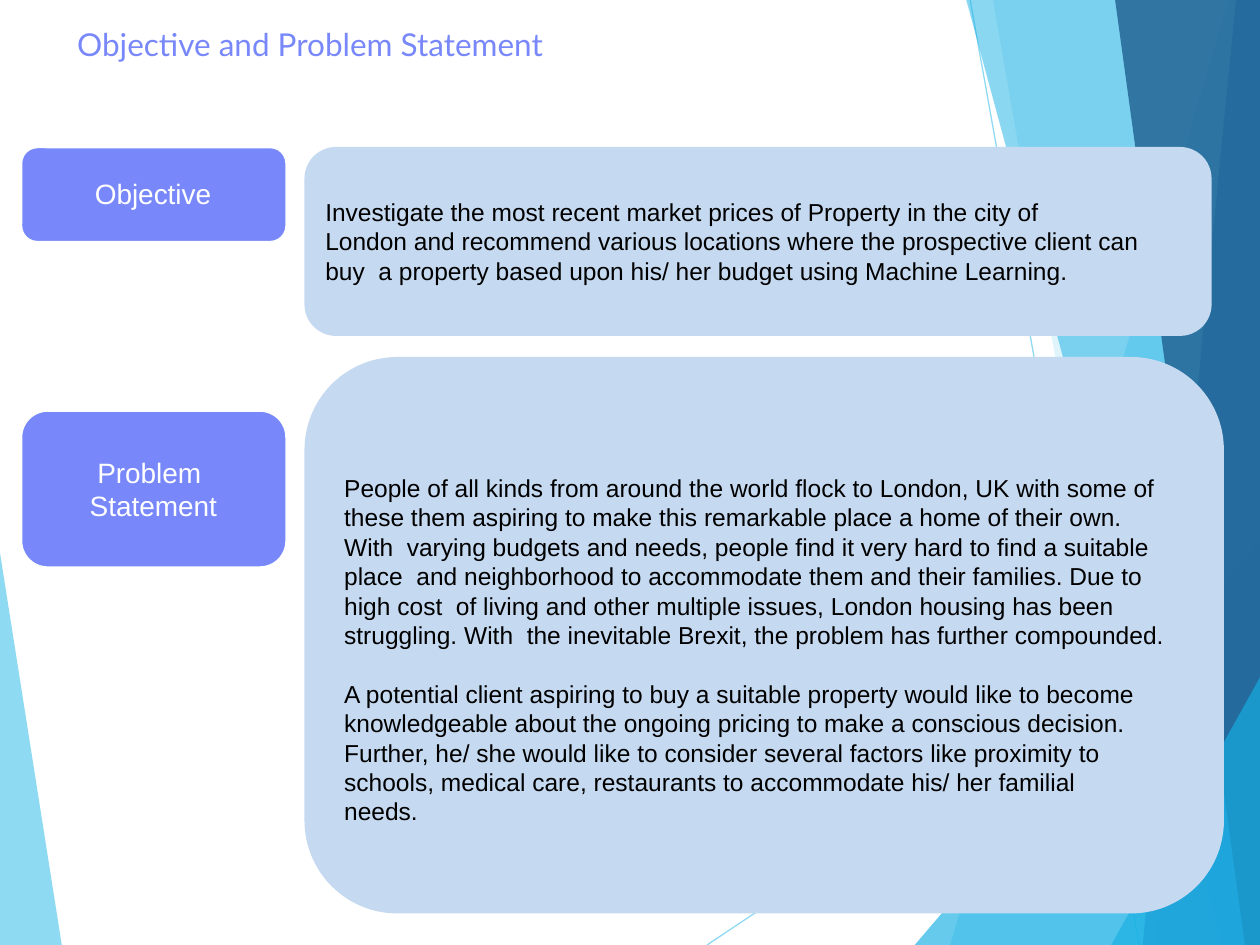
from lxml.etree import SubElement
from pptx import Presentation
from pptx.dml.color import RGBColor
from pptx.enum.shapes import MSO_CONNECTOR as Connector, MSO_SHAPE as Shape
from pptx.enum.text import MSO_ANCHOR as Anchor
from pptx.oxml.ns import qn
from pptx.util import Pt

WIDTH, HEIGHT = 720, 540

THEME = {
    "sky": "5FCBEF", "cyan": "17B0E4", "blue": "2E83C3", "navy": "226292",
    "label": "7888FA", "label_line": "FDFFFD", "panel": "C5D9F0",
    "title": {"name": "Lato", "size": 18, "color": "7888FA"},
    "heading": {"name": "Arial", "size": 16, "color": "FFFFFF"},
    "body": {"name": "Arial", "size": 14, "color": "000000"},
}

# Background facets, back to front: colour, opacity, corner points
LEFT_FACET = ("sky", 70, [(0, 316), (35.3, HEIGHT), (0, HEIGHT)])
RAYS = [((404, HEIGHT), (WIDTH, 329)), ((554.4, 0), (651, HEIGHT))]
RIGHT_FACETS = [
    ("sky", 36, [(702, 0), (543, HEIGHT), (WIDTH, HEIGHT), (WIDTH, 0)]),
    ("sky", 20, [(567.4, 0), (661.7, HEIGHT), (WIDTH, HEIGHT), (WIDTH, 0)]),
    ("cyan", 66, [(522.7, HEIGHT), (WIDTH, 309), (WIDTH, HEIGHT)]),
    ("cyan", 50, [(552.2, 0), (698.4, HEIGHT), (WIDTH, HEIGHT), (WIDTH, 0)]),
    ("blue", 70, [(706.3, 0), (653, HEIGHT), (WIDTH, HEIGHT), (WIDTH, 0)]),
    ("navy", 82, [(637.2, 0), (711.4, HEIGHT), (WIDTH, HEIGHT), (WIDTH, 0)]),
    ("cyan", 66, [(635, HEIGHT), (WIDTH, 387), (WIDTH, HEIGHT)]),
]

# Boxes are left, top, width, height
TITLE = ("Objective and Problem Statement", (43.2, 13, 300, 24))
LABEL_LEFT, LABEL_WIDTH, PANEL_LEFT = 12.4, 151, 174
SECTIONS = [
    {
        "label": "Objective", "label_y": (84.4, 53.6),
        "label_text": (53.3, 100, 70, 21), "indent": 0,
        "panel": (84, 108, 518.4),
        "texts": [((185, 111.6, 490, 52.6), [
            "Investigate the most recent market prices of Property in the city of",
            "London and recommend various locations where the prospective client "
            "can buy  a property based upon his/ her budget using Machine Learning.",
        ])],
    },
    {
        "label": "Problem Statement", "label_y": (235, 89),
        "label_text": (50.4, 259.2, 75, 40.3), "indent": 4.3,
        "panel": (204, 318, 525.4),
        "texts": [
            ((195.8, 269.3, 476, 103), [
                "People of all kinds from around the world flock to London, UK with "
                "some of these them aspiring to make this remarkable place a home of "
                "their own. With  varying budgets and needs, people find it very hard "
                "to find a suitable place  and neighborhood to accommodate them and "
                "their families. Due to high cost  of living and other multiple issues, "
                "London housing has been struggling. With  the inevitable Brexit, the "
                "problem has further compounded.",
            ]),
            ((195.8, 386.9, 463.7, 69), [
                "A potential client aspiring to buy a suitable property would like to "
                "become knowledgeable about the ongoing pricing to make a conscious "
                "decision. Further, he/ she would like to consider several factors like "
                "proximity to schools, medical care, restaurants to accommodate his/ her "
                "familial needs.",
            ]),
        ],
    },
]


def points(values):
    return [Pt(value) for value in values]


def color(name):
    return RGBColor.from_string(THEME.get(name, name))


def set_opacity(fill_owner, percent):
    for node in fill_owner.iter(qn("a:srgbClr")):
        SubElement(node, qn("a:alpha"), val=str(percent * 1000))


def paint(shape, fill, line=None):
    shape.shadow.inherit = False
    shape.fill.solid()
    shape.fill.fore_color.rgb = color(fill)
    if line:
        shape.line.color.rgb = color(line)
        shape.line.width = Pt(0.72)
    else:
        shape.line.fill.background()


def add_facet(slide, fill, opacity, corners):
    start, *rest = [points(corner) for corner in corners]
    builder = slide.shapes.build_freeform(*start)
    builder.add_line_segments(rest, close=True)
    shape = builder.convert_to_shape()
    paint(shape, fill)
    set_opacity(shape._element.spPr, opacity)


def add_ray(slide, start, end):
    ray = slide.shapes.add_connector(Connector.STRAIGHT, *points(start + end))
    ray.line.color.rgb = color("sky")
    ray.line.width = Pt(0.75)
    properties = ray._element.spPr
    set_opacity(properties, 70)
    SubElement(properties, qn("a:effectLst"))


def add_rounded(slide, box, fill, line=None):
    shape = slide.shapes.add_shape(Shape.ROUNDED_RECTANGLE, *points(box))
    shape.adjustments[0] = 0.167
    paint(shape, fill, line)


def add_text(slide, box, lines, style, indent=0):
    frame = slide.shapes.add_textbox(*points(box)).text_frame
    settings = {"word_wrap": True, "vertical_anchor": Anchor.TOP,
                "margin_left": 0, "margin_right": 0,
                "margin_top": Pt(1), "margin_bottom": 0}
    for name, value in settings.items():
        setattr(frame, name, value)
    font_style = THEME[style]
    for index, line in enumerate(lines):
        paragraph = frame.add_paragraph() if index else frame.paragraphs[0]
        paragraph.space_before = Pt(0 if index else 1)
        properties = paragraph._p.get_or_add_pPr()
        properties.set("marL", str(Pt(0.9)))
        properties.set("indent", str(Pt(indent)))
        run = paragraph.add_run()
        run.text = line
        run.font.name = font_style["name"]
        run.font.size = Pt(font_style["size"])
        run.font.color.rgb = color(font_style["color"])


def main():
    presentation = Presentation()
    presentation.slide_width, presentation.slide_height = Pt(WIDTH), Pt(HEIGHT)
    slide = presentation.slides.add_slide(presentation.slide_layouts[6])

    # Background
    add_facet(slide, *LEFT_FACET)
    for ray in RAYS:
        add_ray(slide, *ray)
    for facet in RIGHT_FACETS:
        add_facet(slide, *facet)

    # Title
    title, title_box = TITLE
    add_text(slide, title_box, [title], "title")

    # Labels with their panels
    for section in SECTIONS:
        top, height = section["label_y"]
        add_rounded(slide, (LABEL_LEFT, top, LABEL_WIDTH, height), "label", "label_line")
        add_text(slide, section["label_text"], [section["label"]], "heading",
                 section["indent"])
        top, height, width = section["panel"]
        add_rounded(slide, (PANEL_LEFT, top, width, height), "panel")
        for box, lines in section["texts"]:
            add_text(slide, box, lines, "body")

    presentation.save("out.pptx")


if __name__ == "__main__":
    main()
